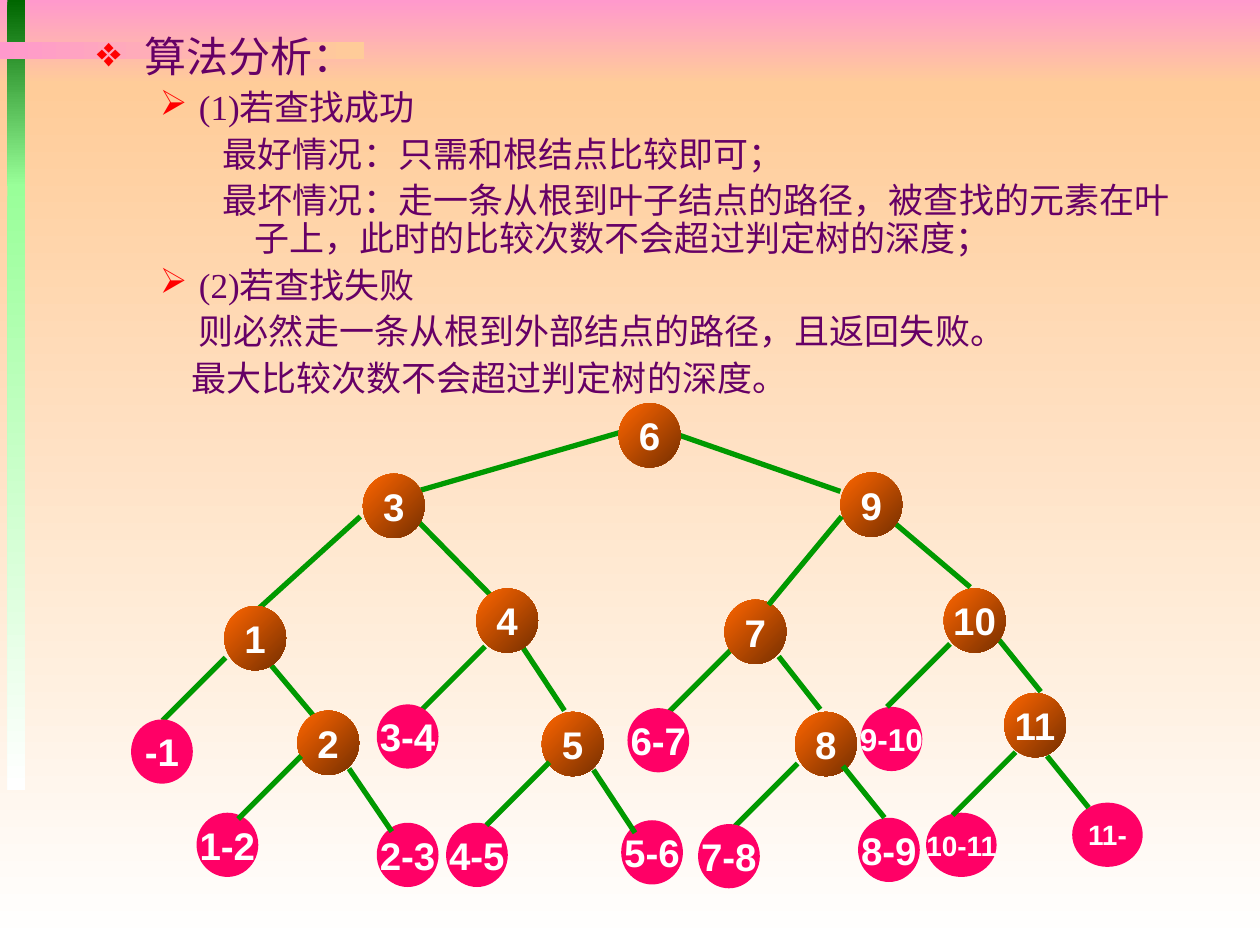
from lxml.etree import SubElement
from pptx import Presentation
from pptx.dml.color import RGBColor
from pptx.enum.shapes import MSO_CONNECTOR, MSO_SHAPE
from pptx.enum.text import MSO_ANCHOR, PP_ALIGN
from pptx.oxml.ns import qn
from pptx.util import Inches, Pt

PINK = RGBColor(0xFF, 0x99, 0xCC)
PEACH = RGBColor(0xFF, 0xCC, 0x99)
WHITE = RGBColor(0xFF, 0xFF, 0xFF)
DARK_GREEN = RGBColor(0x00, 0x66, 0x00)
LIGHT_GREEN = RGBColor(0x99, 0xFF, 0x99)
EDGE_GREEN = RGBColor(0x00, 0x99, 0x00)
ORANGE = RGBColor(0xFF, 0x66, 0x00)
BROWN = RGBColor(0x76, 0x2F, 0x00)
MAGENTA = RGBColor(0xFF, 0x00, 0x66)
PURPLE = RGBColor(0x66, 0x00, 0x66)
RED = RGBColor(0xFF, 0x00, 0x00)

BANDS = [
    (0, 0, 10, 0.67, PINK, PEACH, 90),
    (0, 0.67, 10, 6.83, PEACH, WHITE, 90),
    (0.06, 0, 0.14, 1.48, DARK_GREEN, LIGHT_GREEN, 90),
    (0.06, 1.46, 0.14, 4.81, LIGHT_GREEN, WHITE, 90),
    (0, 0.33, 2.89, 0.14, PINK, PEACH, 0),
]

ANALYSIS = [
    (0, 0.38, -0.38, "❖", 24, ["算法分析："]),
    (1, 0.81, -0.31, "➢", 20, ["(1)", "若查找成功"]),
    (2, 1.25, -0.25, None, 20, ["最好情况：只需和根结点比较即可；"]),
    (2, 1.25, -0.25, None, 20,
     ["最坏情况：走一条从根到叶子结点的路径，被查找的元素在叶子上，此时的比较次数不会超过判定树的深度；"]),
    (1, 0.81, -0.31, "➢", 20, ["(2)", "若查找失败"]),
    (1, 0.81, 0, None, 20, ["则必然走一条从根到外部结点的路径，且返回失败。"]),
    (1, 0.75, 0, None, 20, ["最大比较次数不会超过判定树的深度。"]),
]

INNER_NODES = [
    ("6", 4.91, 3.2), ("3", 2.88, 3.76), ("9", 6.67, 3.75), ("1", 1.78, 4.81),
    ("4", 3.78, 4.67), ("10", 7.49, 4.67), ("7", 5.75, 4.76), ("2", 2.36, 5.64),
    ("8", 6.31, 5.65), ("5", 4.3, 5.65), ("11", 7.97, 5.5),
]
LEAVES = [
    ("-1", 1.04, 5.71), ("1-2", 1.56, 6.45), ("2-3", 2.99, 6.53), ("4-5", 3.54, 6.53),
    ("5-6", 4.93, 6.51), ("7-8", 5.54, 6.54), ("8-9", 6.81, 6.49), ("6-7", 4.98, 5.62),
    ("3-4", 2.99, 5.59), ("10-11", 7.35, 6.45, 0.56, 16), ("9-10", 6.83, 5.61, 0.49, 18),
    ("11-", 8.51, 6.37, 0.56, 16),
]
EDGES_BEHIND = [
    (3.85, 5.13, 3.35, 5.63), (8.26, 5.49, 7.93, 5.08), (6.51, 5.63, 6.18, 5.21),
    (3.33, 4.15, 3.91, 4.74), (2.11, 5.23, 2.53, 5.73), (4.15, 5.14, 4.48, 5.64),
    (4.93, 3.43, 3.34, 3.89), (5.38, 3.45, 6.67, 3.9), (2.86, 4.1, 2.02, 4.86),
    (7.11, 4.16, 7.7, 4.66), (5.8, 5.16, 5.3, 5.66), (1.79, 5.22, 1.29, 5.72),
    (6.33, 6.06, 5.83, 6.56),
]
EDGES_IN_FRONT = [
    (2.39, 6, 1.89, 6.5), (2.77, 6.1, 3.11, 6.6), (4.36, 6.05, 3.86, 6.55),
    (4.71, 6.11, 5.04, 6.61), (7.02, 6.49, 6.69, 6.08), (8.06, 5.97, 7.56, 6.47),
    (8.64, 6.41, 8.31, 6), (7.54, 5.11, 7.04, 5.61), (6.68, 4.1, 6.1, 4.8),
]


class TreeSlide:
    font = "Arial"
    number_font = "Times New Roman"

    def __init__(self, slide):
        self.s = slide

    def shape(self, kind, x, y, w, h, colors, angle=0):
        sp = self.s.shapes.add_shape(kind, Inches(x), Inches(y), Inches(w), Inches(h))
        sp.shadow.inherit = False
        sp.line.fill.background()
        if len(colors) == 1:
            sp.fill.solid()
            sp.fill.fore_color.rgb = colors[0]
        else:
            sp.fill.gradient()
            sp.fill.gradient_angle = (360 - angle) % 360
            for stop, color, position in zip(sp.fill.gradient_stops, colors, (0, 1)):
                stop.color.rgb = color
                stop.position = position
        return sp

    def band(self, x, y, w, h, start, end, angle):
        self.shape(MSO_SHAPE.RECTANGLE, x, y, w, h, (start, end), angle)

    def node(self, colors, label, x, y, w=0.49, size=22):
        sp = self.shape(MSO_SHAPE.OVAL, x, y, w, 0.51, colors, 45)
        tf = sp.text_frame
        tf.word_wrap = False
        tf.vertical_anchor = MSO_ANCHOR.MIDDLE
        tf.text = label
        p = tf.paragraphs[0]
        p.alignment = PP_ALIGN.CENTER
        self.format(p.runs[0], self.font, size, WHITE, True)

    def edge(self, x1, y1, x2, y2):
        line = self.s.shapes.add_connector(
            MSO_CONNECTOR.STRAIGHT, Inches(x1), Inches(y1), Inches(x2), Inches(y2))
        line.line.color.rgb = EDGE_GREEN
        line.line.width = Pt(3)
        SubElement(line._element.spPr, qn("a:effectLst"))

    def format(self, r, font, size, color, bold=False):
        r.font.name = font
        r.font.size = Pt(size)
        r.font.bold = bold
        r.font.color.rgb = color

    def bullet(self, p, char):
        pPr = p._p.get_or_add_pPr()
        if char:
            color = SubElement(pPr, qn("a:buClr"))
            SubElement(color, qn("a:srgbClr"), val=str(RED))
            SubElement(pPr, qn("a:buChar"), char=char)
        else:
            SubElement(pPr, qn("a:buNone"))

    def outline(self, x, y, w, h, items):
        box = self.s.shapes.add_textbox(Inches(x), Inches(y), Inches(w), Inches(h))
        tf = box.text_frame
        tf.word_wrap = True
        for i, (level, left, indent, char, size, texts) in enumerate(items):
            p = tf.add_paragraph() if i else tf.paragraphs[0]
            self.bullet(p, char)
            p.level = level
            p.line_spacing = 0.9
            p.space_before = Pt(5 if i else 0)
            pPr = p._p.get_or_add_pPr()
            pPr.set("marL", str(Inches(left)))
            pPr.set("indent", str(Inches(indent)))
            for text in texts:
                r = p.add_run()
                r.text = text
                font = self.number_font if text.startswith("(") else self.font
                self.format(r, font, size, PURPLE)


def main():
    prs = Presentation()
    prs.slide_width = Inches(10)
    prs.slide_height = Inches(7.5)
    page = TreeSlide(prs.slides.add_slide(prs.slide_layouts[6]))
    for band in BANDS:
        page.band(*band)
    page.outline(0.67, 0.24, 8.92, 2.9, ANALYSIS)
    for edge in EDGES_BEHIND:
        page.edge(*edge)
    for node in INNER_NODES:
        page.node((ORANGE, BROWN), *node)
    for leaf in LEAVES:
        page.node((MAGENTA,), *leaf)
    for edge in EDGES_IN_FRONT:
        page.edge(*edge)
    prs.save("out.pptx")


if __name__ == "__main__":
    main()
